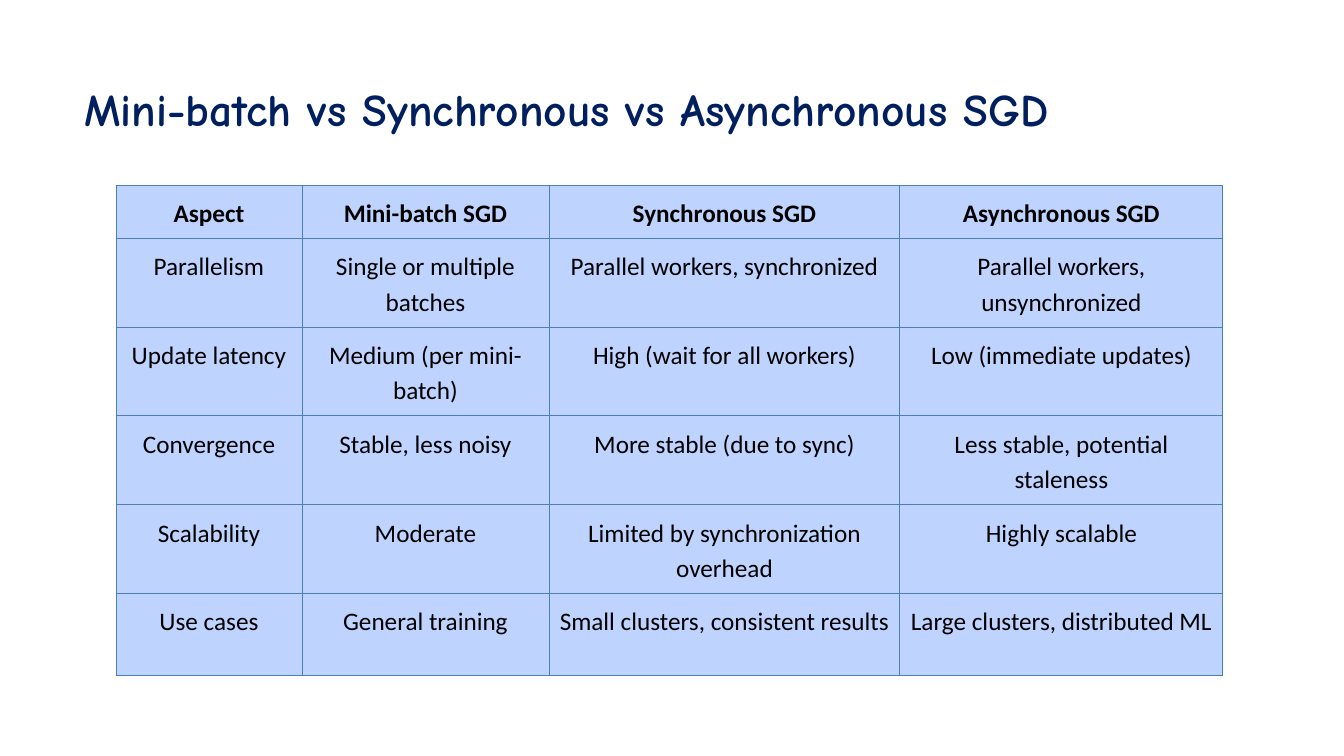
from dataclasses import dataclass

from lxml import etree
from pptx import Presentation
from pptx.dml.color import RGBColor
from pptx.enum.text import MSO_ANCHOR, MSO_AUTO_SIZE, PP_ALIGN
from pptx.oxml.ns import qn
from pptx.util import Pt

LEFT, CENTER = PP_ALIGN.LEFT, PP_ALIGN.CENTER
TOP, MIDDLE = MSO_ANCHOR.TOP, MSO_ANCHOR.MIDDLE
NO_FIT = MSO_AUTO_SIZE.NONE
SCALE = 914400 / 100.8


@dataclass(frozen=True)
class Theme:
    head_font: str = "Comic Neue"
    body_font: str = "Calibri"
    head_size: float = 32.4
    body_size: float = 18
    navy: str = "001F5F"
    ink: str = "000000"
    fill: str = "BFD3FF"
    rule: str = "4B7EBC"
    rule_width: float = 0.75
    leading: float = 1.15


def px(n):
    return round(n * SCALE)


class Deck:
    """Holds the theme and the current slide, and adds each kind of element."""

    def __init__(self, theme):
        self.theme = theme
        self.prs = Presentation()
        self.prs.slide_width, self.prs.slide_height = px(1344), px(756)
        self.slide = self.prs.slides.add_slide(self.prs.slide_layouts[5])

    def style(self, para, name, size, color, bold):
        font = para.font
        font.name, font.size, font.bold = name, Pt(size), bold
        font.color.rgb = RGBColor.from_string(color)

    def title(self, text, x, y, w, h):
        t = self.theme
        shape = self.slide.shapes.title
        shape.left, shape.top, shape.width, shape.height = map(px, (x, y, w, h))
        frame = shape.text_frame
        frame.text = text
        frame.word_wrap, frame.auto_size = True, NO_FIT
        frame.vertical_anchor = MIDDLE
        frame.margin_left = frame.margin_right = px(13)
        frame.margin_top = frame.margin_bottom = px(13)
        para = frame.paragraphs[0]
        para.alignment = LEFT
        self.style(para, t.head_font, t.head_size, t.navy, True)

    def border(self, cell):
        props = cell._tc.get_or_add_tcPr()
        for i, side in enumerate(("lnL", "lnR", "lnT", "lnB")):
            line = etree.Element(qn(f"a:{side}"), w=str(Pt(self.theme.rule_width)))
            solid = etree.SubElement(line, qn("a:solidFill"))
            etree.SubElement(solid, qn("a:srgbClr"), val=self.theme.rule)
            props.insert(i, line)

    def cell(self, cell, text, bold):
        t = self.theme
        cell.text = text
        cell.vertical_anchor = TOP
        cell.margin_left = cell.margin_right = px(9)
        cell.margin_top = cell.margin_bottom = px(9)
        cell.fill.solid()
        cell.fill.fore_color.rgb = RGBColor.from_string(t.fill)
        self.border(cell)
        para = cell.text_frame.paragraphs[0]
        para.alignment, para.line_spacing = CENTER, t.leading
        self.style(para, t.body_font, t.body_size, t.ink, bold)

    def table(self, data, x, y, widths, heights):
        box = map(px, (x, y, sum(widths), sum(heights)))
        table = self.slide.shapes.add_table(len(data), len(widths), *box).table
        table.horz_banding = False
        for col, width in zip(table.columns, widths):
            col.width = px(width)
        for r, (row, height) in enumerate(zip(data, heights)):
            table.rows[r].height = px(height)
            for c, text in enumerate(row):
                self.cell(table.cell(r, c), text, r == 0)


ROWS = [
    ("Aspect", "Mini-batch SGD", "Synchronous SGD", "Asynchronous SGD"),
    ("Parallelism", "Single or multiple batches",
     "Parallel workers, synchronized", "Parallel workers, unsynchronized"),
    ("Update latency", "Medium (per mini-batch)",
     "High (wait for all workers)", "Low (immediate updates)"),
    ("Convergence", "Stable, less noisy",
     "More stable (due to sync)", "Less stable, potential staleness"),
    ("Scalability", "Moderate",
     "Limited by synchronization overhead", "Highly scalable"),
    ("Use cases", "General training",
     "Small clusters, consistent results", "Large clusters, distributed ML"),
]


def main():
    deck = Deck(Theme())
    deck.title("Mini-batch vs Synchronous vs Asynchronous SGD", 71, 66, 1182, 84)
    deck.table(ROWS, 116, 185, (186, 247, 351, 323), (52, 84, 82, 82, 84, 82))
    deck.prs.save("out.pptx")


if __name__ == "__main__":
    main()
